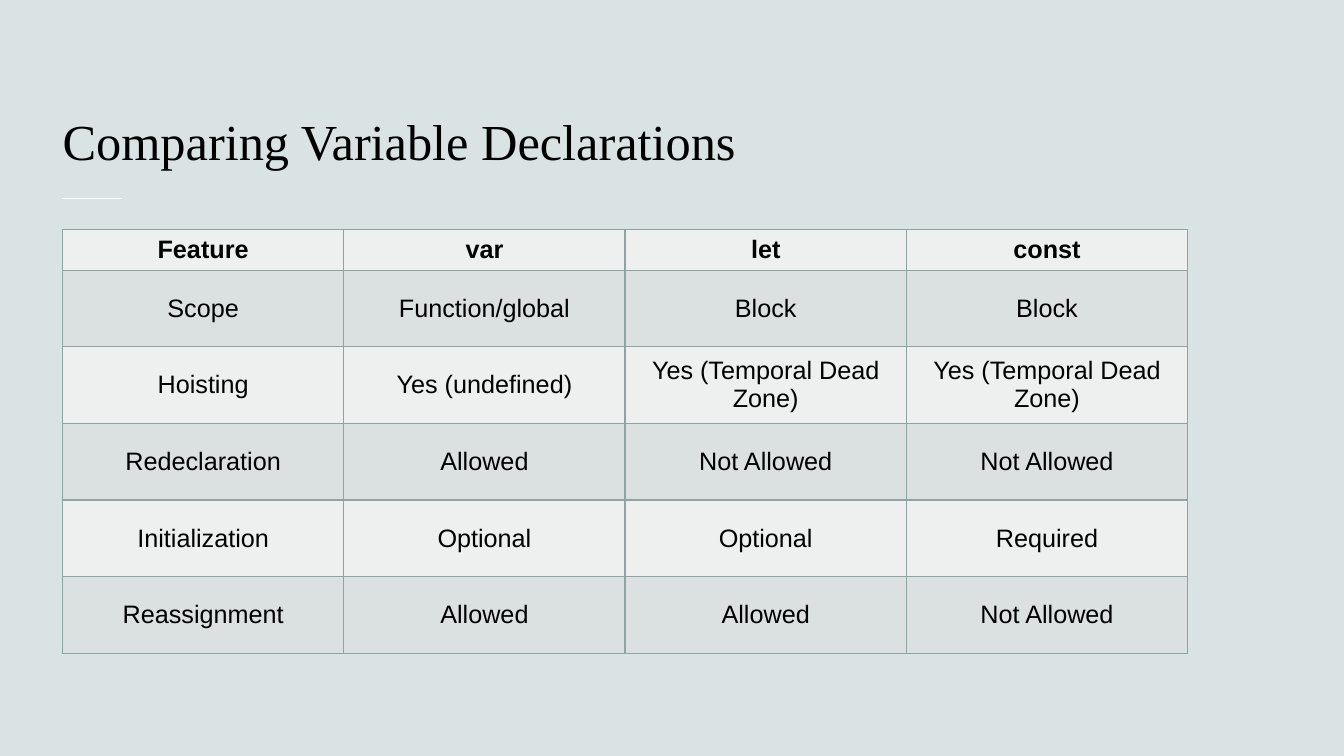
from dataclasses import dataclass

from lxml import etree
from pptx import Presentation
from pptx.dml.color import RGBColor
from pptx.enum.shapes import MSO_CONNECTOR
from pptx.enum.text import MSO_ANCHOR, PP_ALIGN
from pptx.oxml.ns import qn
from pptx.util import Inches, Pt

STRAIGHT = MSO_CONNECTOR.STRAIGHT
BOTTOM, MIDDLE = MSO_ANCHOR.BOTTOM, MSO_ANCHOR.MIDDLE
LEFT, CENTER = PP_ALIGN.LEFT, PP_ALIGN.CENTER
BORDER_TAGS = ("a:lnL", "a:lnR", "a:lnT", "a:lnB")


@dataclass(frozen=True)
class Theme:
    background: str = "DAE3E3"
    text: str = "000000"
    rule: str = "FFFFFF"
    border: str = "8FA3A3"
    bands: tuple = ("EEF0F0", "DBE0E0")
    title_font: str = "Times New Roman"
    body_font: str = "Arial"
    title_size: int = 36
    body_size: int = 18
    line_width: int = 1


class PageBuilder:
    def __init__(self, page, theme):
        self.page = page
        self.theme = theme
        fill = page.background.fill
        fill.solid()
        fill.fore_color.rgb = RGBColor.from_string(theme.background)

    def set_text(self, frame, text, font, size, align, bold=False):
        frame.text = text
        para = frame.paragraphs[0]
        para.alignment = align
        span = para.runs[0]
        span.font.name = font
        span.font.size = Pt(size)
        span.font.bold = bold
        span.font.color.rgb = RGBColor.from_string(self.theme.text)

    def title(self, text, left, top, width, height):
        box = self.page.shapes.add_textbox(
            Inches(left), Inches(top), Inches(width), Inches(height))
        frame = box.text_frame
        frame.word_wrap = True
        frame.vertical_anchor = BOTTOM
        frame.margin_left = 0
        self.set_text(frame, text, self.theme.title_font,
                      self.theme.title_size, LEFT)

    def rule(self, left, top, width):
        line = self.page.shapes.add_connector(
            STRAIGHT, Inches(left), Inches(top), Inches(left + width), Inches(top))
        line.line.color.rgb = RGBColor.from_string(self.theme.rule)
        line.line.width = Pt(self.theme.line_width)
        etree.SubElement(line._element.spPr, qn("a:effectLst"))

    def table(self, rows, left, top, column_width, row_heights):
        columns = len(rows[0])
        table = self.page.shapes.add_table(
            len(rows), columns, Inches(left), Inches(top),
            Inches(column_width * columns), Inches(sum(row_heights))).table
        for column in table.columns:
            column.width = Inches(column_width)
        for row_index, values in enumerate(rows):
            table.rows[row_index].height = Inches(row_heights[row_index])
            band = self.theme.bands[row_index % 2]
            for column_index, value in enumerate(values):
                self.cell(table.cell(row_index, column_index), value, band,
                          bold=row_index == 0)

    def cell(self, cell, text, band, bold):
        cell.vertical_anchor = MIDDLE
        self.set_text(cell.text_frame, text, self.theme.body_font,
                      self.theme.body_size, CENTER, bold)
        # Borders come before the fill in the cell properties
        properties = cell._tc.get_or_add_tcPr()
        for tag in BORDER_TAGS:
            border = etree.SubElement(
                properties, qn(tag), w=str(Pt(self.theme.line_width)))
            fill = etree.SubElement(border, qn("a:solidFill"))
            etree.SubElement(fill, qn("a:srgbClr"), val=self.theme.border)
        cell.fill.solid()
        cell.fill.fore_color.rgb = RGBColor.from_string(band)


DECLARATIONS = (
    ("Feature", "var", "let", "const"),
    ("Scope", "Function/global", "Block", "Block"),
    ("Hoisting", "Yes (undefined)",
     "Yes (Temporal Dead Zone)", "Yes (Temporal Dead Zone)"),
    ("Redeclaration", "Allowed", "Not Allowed", "Not Allowed"),
    ("Initialization", "Optional", "Optional", "Required"),
    ("Reassignment", "Allowed", "Allowed", "Not Allowed"),
)
MARGIN = 0.62


def main():
    deck = Presentation()
    deck.slide_width, deck.slide_height = Inches(13.33), Inches(7.5)
    builder = PageBuilder(deck.slides.add_slide(deck.slide_layouts[6]), Theme())

    # Heading with its short rule
    builder.rule(MARGIN, 1.97, 0.59)
    builder.title("Comparing Variable Declarations", MARGIN, 0.44, 12.08, 1.3)

    # Comparison table: a low header above equal rows
    row_heights = [0.36] + [0.76] * (len(DECLARATIONS) - 1)
    builder.table(DECLARATIONS, MARGIN, 2.28, 2.79, row_heights)

    deck.save("out.pptx")


if __name__ == "__main__":
    main()
